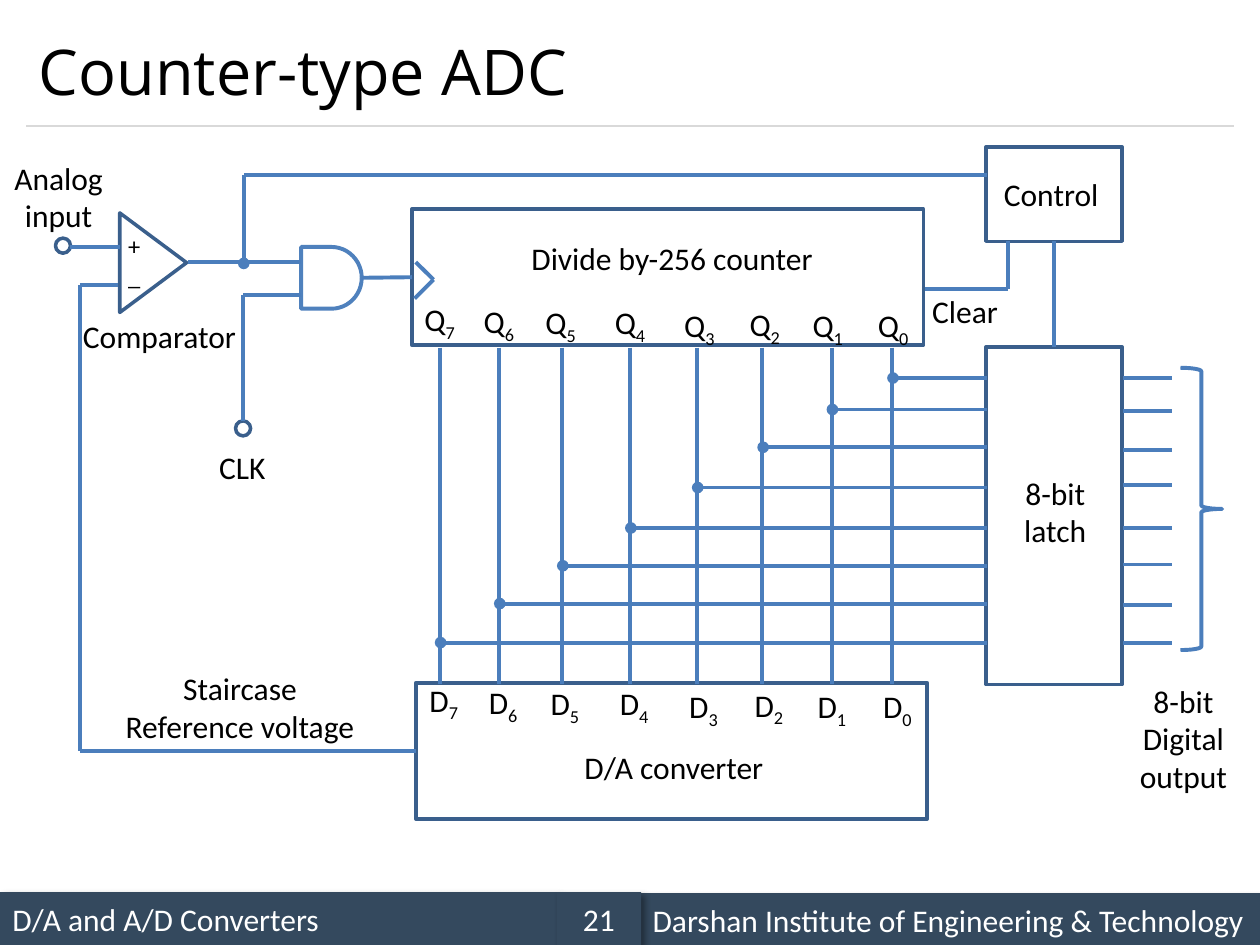
from lxml.etree import SubElement
from pptx import Presentation
from pptx.dml.color import RGBColor
from pptx.enum.shapes import MSO_CONNECTOR, MSO_SHAPE
from pptx.enum.text import MSO_ANCHOR, PP_ALIGN
from pptx.oxml.ns import qn
from pptx.util import Pt

WIRE = RGBColor(0x4B, 0x7E, 0xBC)
GATE = RGBColor(0x4F, 0x81, 0xBD)
OUTLINE = RGBColor(0x3A, 0x5F, 0x8C)
RULE = RGBColor(0xD9, 0xD9, 0xD9)
SLATE = RGBColor(0x34, 0x49, 0x5E)
BLACK = RGBColor(0, 0, 0)
WHITE = RGBColor(0xFF, 0xFF, 0xFF)


class Diagram:
    body_font = "Calibri"
    title_font = "Open Sans"

    def __init__(self, slide):
        self.slide = slide

    def style_text(self, frame, size, color, align, font=None):
        for para in frame.paragraphs:
            para.alignment = align
            for span in para.runs:
                span.font.name = font or self.body_font
                span.font.size = Pt(size)
                span.font.color.rgb = color

    def title(self, text, left, top, width, height):
        box = self.slide.shapes.title
        box.left, box.top, box.width, box.height = Pt(left), Pt(top), Pt(width), Pt(height)
        box.text_frame.text = text
        box.text_frame.vertical_anchor = MSO_ANCHOR.MIDDLE
        self.style_text(box.text_frame, 36, BLACK, PP_ALIGN.LEFT, self.title_font)

    def shape(self, kind, left, top, width, height, color=OUTLINE, weight=2, rotation=0):
        shape = self.slide.shapes.add_shape(kind, Pt(left), Pt(top), Pt(width), Pt(height))
        shape.shadow.inherit = False
        shape.fill.background()
        shape.line.color.rgb = color
        shape.line.width = Pt(weight)
        shape.rotation = rotation
        return shape

    def footer(self, text, left, top, width, align=PP_ALIGN.LEFT):
        bar = self.shape(MSO_SHAPE.RECTANGLE, left, top, width, 30.2)
        bar.fill.solid()
        bar.fill.fore_color.rgb = SLATE
        bar.line.fill.background()
        effects = bar._element.spPr.find(qn("a:effectLst"))
        shadow = SubElement(effects, qn("a:outerShdw"), blurRad=str(Pt(4)), dist=str(Pt(3)),
                            dir="2700000", algn="tl", rotWithShape="0")
        tint = SubElement(shadow, qn("a:srgbClr"), val="000000")
        SubElement(tint, qn("a:alpha"), val="40000")
        frame = bar.text_frame
        frame.text = text
        frame.word_wrap = True
        frame.vertical_anchor = MSO_ANCHOR.MIDDLE
        self.style_text(frame, 18, WHITE, align)

    def label(self, text, left, top, width, height=28.8, align=PP_ALIGN.LEFT, size=18, subscript=""):
        box = self.slide.shapes.add_textbox(Pt(left), Pt(top), Pt(width), Pt(height))
        frame = box.text_frame
        frame.word_wrap = True
        frame.text = text
        if subscript:
            span = frame.paragraphs[0].add_run()
            span.text = subscript
            span._r.get_or_add_rPr().set("baseline", "-25000")
        self.style_text(frame, size, BLACK, align)

    def wire(self, start, end, dot=False, color=WIRE, weight=2.25):
        line = self.slide.shapes.add_connector(
            MSO_CONNECTOR.STRAIGHT, *(Pt(value) for value in (*start, *end)))
        line.line.color.rgb = color
        line.line.width = Pt(weight)
        if dot:
            SubElement(line.line._get_or_add_ln(), qn("a:tailEnd"), type="oval")
        SubElement(line._element.spPr, qn("a:effectLst"))
        return line

    def route(self, *points):
        return [self.wire(start, end) for start, end in zip(points, points[1:])]


def build_frame(diagram):
    diagram.footer("D/A and A/D Converters", 0, 509.8, 318.2)
    diagram.wire((15, 72), (705, 72), color=RULE, weight=0.75)
    diagram.footer("Darshan Institute of Engineering & Technology", 365.8, 510.4, 354.2)
    diagram.footer("21", 318.2, 509.8, 48.2, PP_ALIGN.CENTER)
    diagram.title("Counter-type ADC", 15, 8.6, 690, 63.4)


def build_circuit(diagram):
    diagram.shape(MSO_SHAPE.ISOSCELES_TRIANGLE, 59.1, 131, 56.9, 38.2, rotation=90)
    diagram.label("_", 66.2, 145.4, 20.9, 24.5, size=14)
    diagram.label("+", 66.2, 128.2, 20.9, 24.5, size=14)
    gate = diagram.shape(MSO_SHAPE.FLOWCHART_DELAY, 172.1, 141.1, 34.6, 35.3, GATE, 2.25)
    counter = diagram.shape(MSO_SHAPE.RECTANGLE, 235.4, 119.5, 292.3, 77.8)
    converter = diagram.shape(MSO_SHAPE.RECTANGLE, 237.6, 390.2, 292.3, 77.8)
    latch = diagram.shape(MSO_SHAPE.RECTANGLE, 563.4, 198.2, 77.8, 193)
    control = diagram.shape(MSO_SHAPE.RECTANGLE, 563.4, 83.9, 77.8, 54)
    for left, top in ((134.6, 240.5), (31.7, 136.1)):
        diagram.shape(MSO_SHAPE.OVAL, left, top, 8.6, 8.6)

    diagram.wire((40.3, 141), (68.4, 141))
    diagram.wire((107.3, 149.9), (172.1, 149.9))
    diagram.route((172.1, 168.5), (138.9, 168.5), (138.9, 240.5))
    clock = diagram.wire((206.7, 158.4), (235.4, 158.4))
    clock.begin_connect(gate, 3)
    clock.end_connect(counter, 1)
    diagram.route((237.6, 149.8), (247.7, 159.8), (236.9, 170.6))
    feedback = diagram.route((237.6, 429.1), (45.7, 429.1), (45.7, 162.7), (67.7, 162.7))
    feedback[0].begin_connect(converter, 1)
    latch_enable = diagram.wire((602.3, 137.9), (602.3, 198.2))
    latch_enable.begin_connect(control, 2)
    latch_enable.end_connect(latch, 0)
    diagram.route((528.5, 164.9), (576.2, 164.9), (576.2, 137.5))
    diagram.wire((563.8, 100.1), (139.3, 100.1))
    diagram.wire((139.3, 100.1), (139.3, 150.5), dot=True)
    diagram.shape(MSO_SHAPE.RIGHT_BRACE, 674.6, 210.2, 23.8, 161.3, WIRE, 2.25)


def build_bits(diagram):
    bits = [
        (251.3, 367.2, 367.2, 235.4, 167.8),
        (285.1, 344.9, 345.6, 269.3, 169.2),
        (321.1, 323.3, 322.6, 304.6, 169.9),
        (360, 301.7, 301.7, 344.2, 169.9),
        (398.2, 278.6, 277.2, 383.8, 171.4),
        (435.6, 255.6, 257, 421.2, 170.6),
        (475.2, 234, 234.7, 457.2, 171.4),
        (509.8, 216, 216, 494.6, 171.4),
    ]
    for index, (column, tap, output, left, top) in enumerate(bits):
        bit = str(7 - index)
        diagram.wire((column, 198.7), (column, 391))
        diagram.wire((563.8, tap), (column + 0.5, tap), dot=True)
        diagram.wire((642, output), (670, output))
        diagram.label("Q", left, top, 39.6, subscript=bit)
        diagram.label("D", left + 2.9, top + 217.6, 39.6, subscript=bit)


def build_labels(diagram):
    diagram.label("CLK", 118.1, 252.7, 43.9)
    diagram.label("Divide by-256 counter", 296.6, 133.2, 207.4)
    diagram.label("D/A converter", 326.9, 424.1, 124.6)
    diagram.label("Control", 566.6, 96.5, 77)
    diagram.label("Comparator", 40.3, 177.8, 105.8)
    diagram.label("Clear", 525.6, 163.4, 54)
    diagram.label("8-bit\nlatch", 576, 267.1, 54, 51.1, PP_ALIGN.CENTER)
    diagram.label("Analog\ninput", -3.6, 87.1, 74.2, 51.1, PP_ALIGN.CENTER)
    diagram.label("Staircase\nReference voltage", 61.9, 378.7, 150.5, 51.1, PP_ALIGN.CENTER)
    diagram.label("8-bit\nDigital\noutput", 643.3, 385.9, 65.9, 72.7, PP_ALIGN.CENTER)


def main():
    deck = Presentation()
    deck.slide_width, deck.slide_height = Pt(720), Pt(540)
    diagram = Diagram(deck.slides.add_slide(deck.slide_layouts[5]))
    build_frame(diagram)
    build_circuit(diagram)
    build_bits(diagram)
    build_labels(diagram)
    deck.save("out.pptx")


if __name__ == "__main__":
    main()
